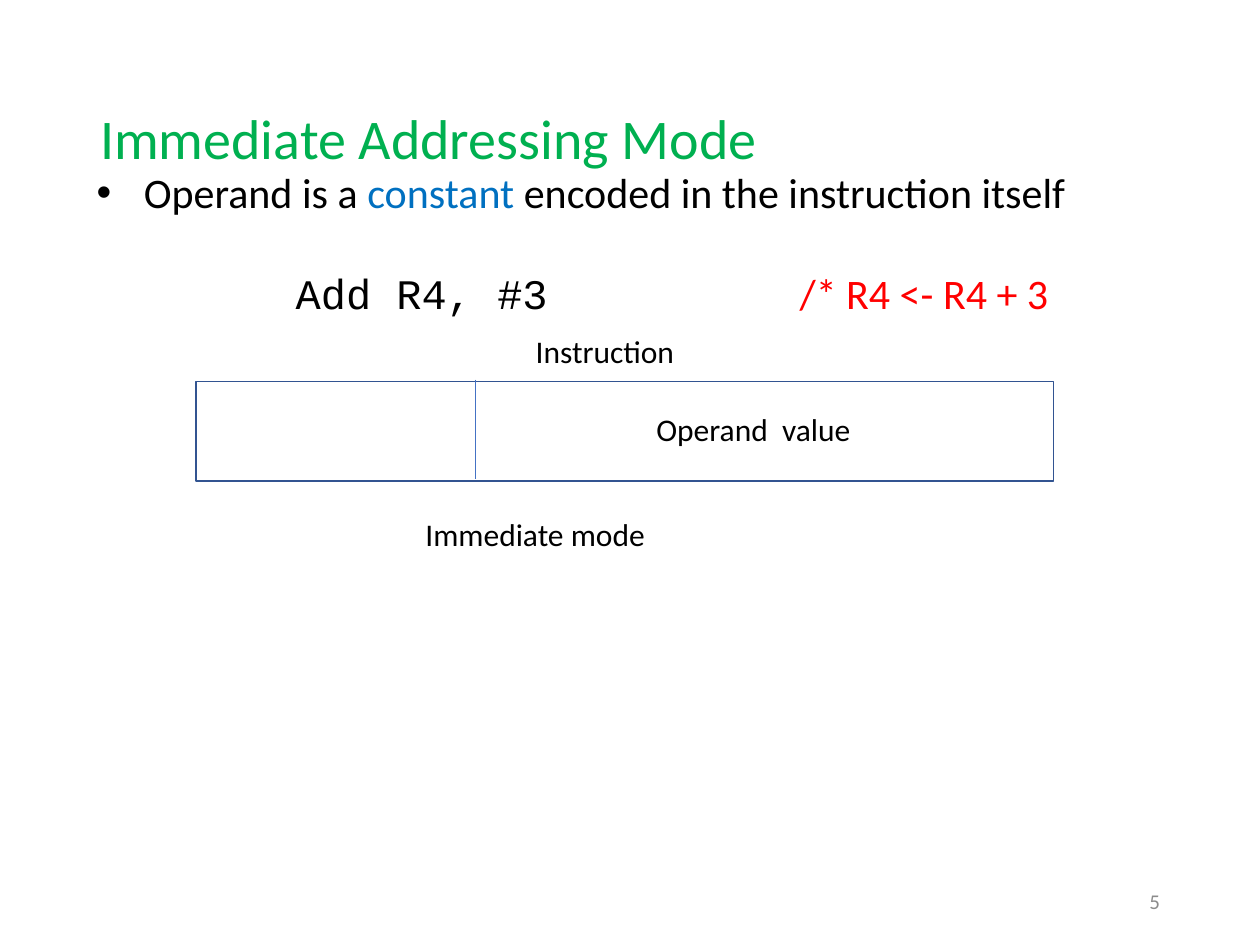
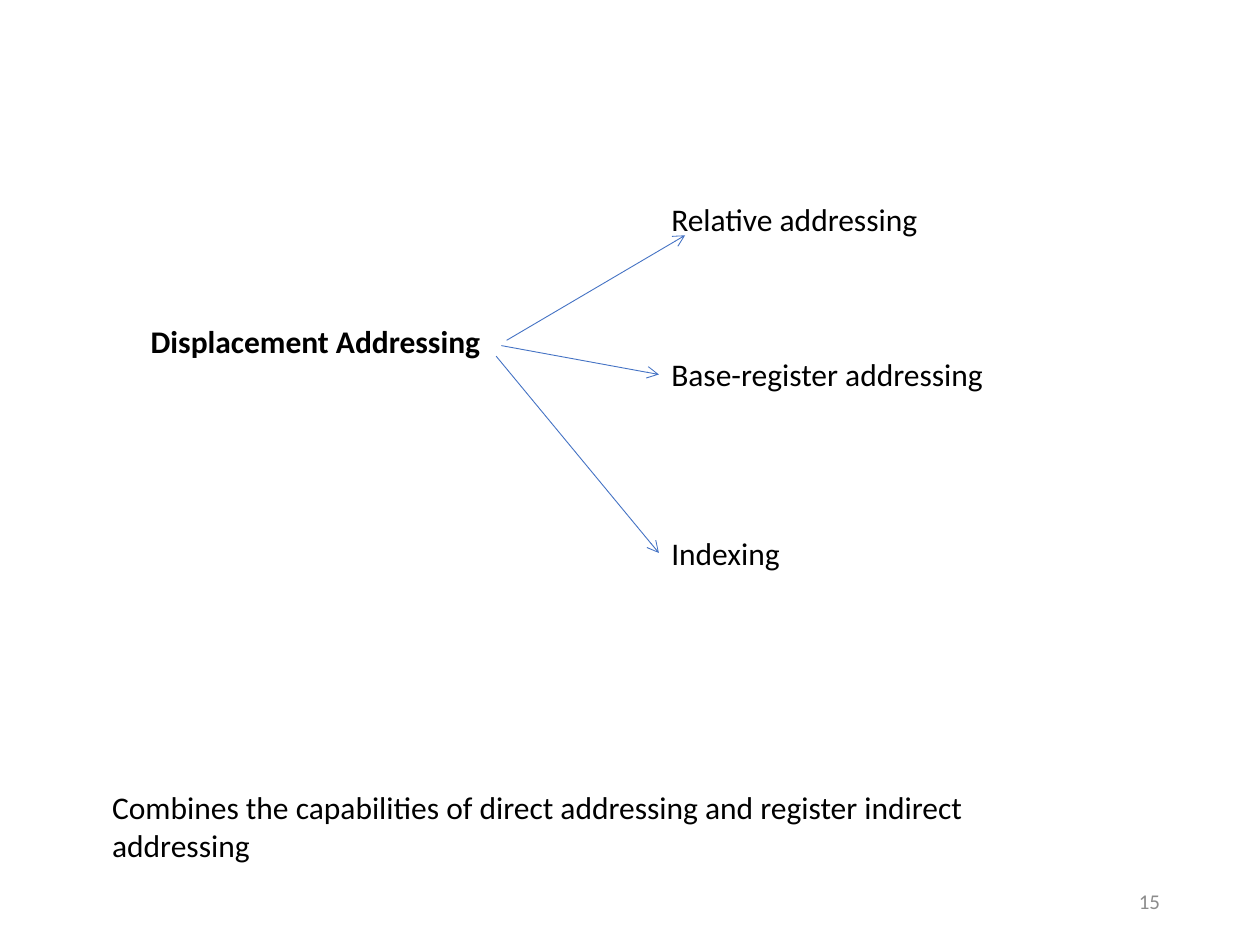
from lxml import etree
from pptx import Presentation
from pptx.dml.color import RGBColor
from pptx.enum.shapes import MSO_CONNECTOR as Link, MSO_SHAPE as Shape
from pptx.enum.text import MSO_ANCHOR as Anchor, MSO_AUTO_SIZE as Fit, PP_ALIGN as Align
from pptx.oxml.ns import qn
from pptx.util import Pt

FONT, MONO = "Calibri", "Courier New"
BLACK, WHITE, GREEN, RED, GREY = "000000", "FFFFFF", "00B050", "FF0000", "8C8C8C"
BLUE, EDGE, ARROW = "0070C0", "325491", "4472C4"

# Runs are (text, colour, font).
TITLE = "Immediate Addressing Mode"
POINT = [("Operand is a ", BLACK, FONT), ("constant", BLUE, FONT),
         (" encoded in the instruction itself", BLACK, FONT)]
CODE = [("Add R4, #3\t\t", BLACK, MONO), ("/* R4 <- R4 + 3", RED, FONT)]

# Labels are (text, left, top, width).
FIELDS = [("Operand  value", 368, 231, 140),
          ("Instruction", 299, 186, 106),
          ("Immediate mode", 236, 291, 181)]
WORD = (112, 218, 490, 57)
SPLIT = 271.5

ROOT = ("Displacement Addressing", 79, 180.5, 215)
KIND_X, KIND_W = 376.5, 226
# Kinds are (text, top, arrow start, arrow end).
KINDS = [("Relative addressing", 111, (289.5, 194.5), (391.5, 134.5)),
         ("Base-register addressing", 199.5, (286.5, 197.5), (376.5, 214)),
         ("Indexing", 301.5, (283.5, 203.5), (376.5, 316))]
NOTE = ("Combines the capabilities of direct addressing and register indirect addressing",
        57, 447, 562)


def tint(code):
    return RGBColor.from_string(code)


def place(shape, *box):
    shape.left, shape.top, shape.width, shape.height = map(Pt, box)


def write(para, text, size=18, color=BLACK, font=FONT, bold=False):
    run = para.add_run()
    run.text = text
    face = run.font
    face.name, face.size, face.bold = font, Pt(size), bold
    face.color.rgb = tint(color)


def label(slide, text, x, y, width, align=Align.LEFT, **style):
    frame = slide.shapes.add_textbox(Pt(x), Pt(y), Pt(width), Pt(29)).text_frame
    frame.word_wrap = True
    para = frame.paragraphs[0]
    para.alignment = align
    write(para, text, **style)
    return frame


def number(slide, value):
    frame = label(slide, value, 508, 500.5, 162, Align.RIGHT, size=12, color=GREY)
    frame.vertical_anchor = Anchor.MIDDLE


def indent(para, left, hang, bullet=None):
    props = para._p.get_or_add_pPr()
    props.set("marL", str(Pt(left)))
    props.set("indent", str(Pt(-hang)))
    props.set("defTabSz", str(Pt(72)))
    if bullet:
        etree.SubElement(props, qn("a:buFont")).set("typeface", "Arial")
        etree.SubElement(props, qn("a:buChar")).set("char", bullet)
    else:
        etree.SubElement(props, qn("a:buNone"))


def link(slide, start, end, arrow=False):
    line = slide.shapes.add_connector(Link.STRAIGHT, *map(Pt, start + end))
    line.line.color.rgb = tint(ARROW)
    line.line.width = Pt(0.5)
    if arrow:
        etree.SubElement(line.line._get_or_add_ln(), qn("a:tailEnd")).set("type", "arrow")
    etree.SubElement(line._element.spPr, qn("a:effectLst"))


def head(slide, text):
    title = slide.shapes.title
    place(title, 50, 29, 620, 104)
    title.text_frame.auto_size = Fit.NONE
    title.text_frame.vertical_anchor = Anchor.MIDDLE
    para = title.text_frame.paragraphs[0]
    indent(para, 45, 45)
    para.alignment, para.line_spacing = Align.LEFT, 0.9
    write(para, text, 32, GREEN)


def body(slide):
    shape = slide.placeholders[1]
    place(shape, 48, 91.5, 672, 206)
    frame = shape.text_frame
    frame.auto_size = Fit.NONE
    point, code = frame.paragraphs[0], frame.add_paragraph()
    indent(point, 27, 27, "•")
    indent(code, 0, 0)
    point.space_before, code.space_before = Pt(0), Pt(29)
    code.alignment = Align.CENTER
    for para, runs in ((point, POINT), (code, CODE)):
        for text, color, font in runs:
            write(para, text, 24, color, font)


def immediate(deck):
    slide = deck.slides.add_slide(deck.slide_layouts[1])
    head(slide, TITLE)
    body(slide)
    word = slide.shapes.add_shape(Shape.RECTANGLE, *map(Pt, WORD))
    word.shadow.inherit = False
    word.fill.solid()
    word.fill.fore_color.rgb = tint(WHITE)
    word.line.color.rgb = tint(EDGE)
    word.line.width = Pt(1)
    top, height = WORD[1], WORD[3]
    link(slide, (SPLIT, top - 1), (SPLIT, top + height - 1))
    for field in FIELDS:
        label(slide, *field)
    number(slide, "5")


def displace(deck):
    slide = deck.slides.add_slide(deck.slide_layouts[6])
    label(slide, *ROOT, bold=True)
    for text, top, start, end in KINDS:
        label(slide, text, KIND_X, top, KIND_W)
        link(slide, start, end, arrow=True)
    label(slide, *NOTE)
    number(slide, "15")


def main():
    deck = Presentation()
    deck.slide_width, deck.slide_height = Pt(720), Pt(540)
    immediate(deck)
    displace(deck)
    deck.save("out.pptx")


if __name__ == "__main__":
    main()
